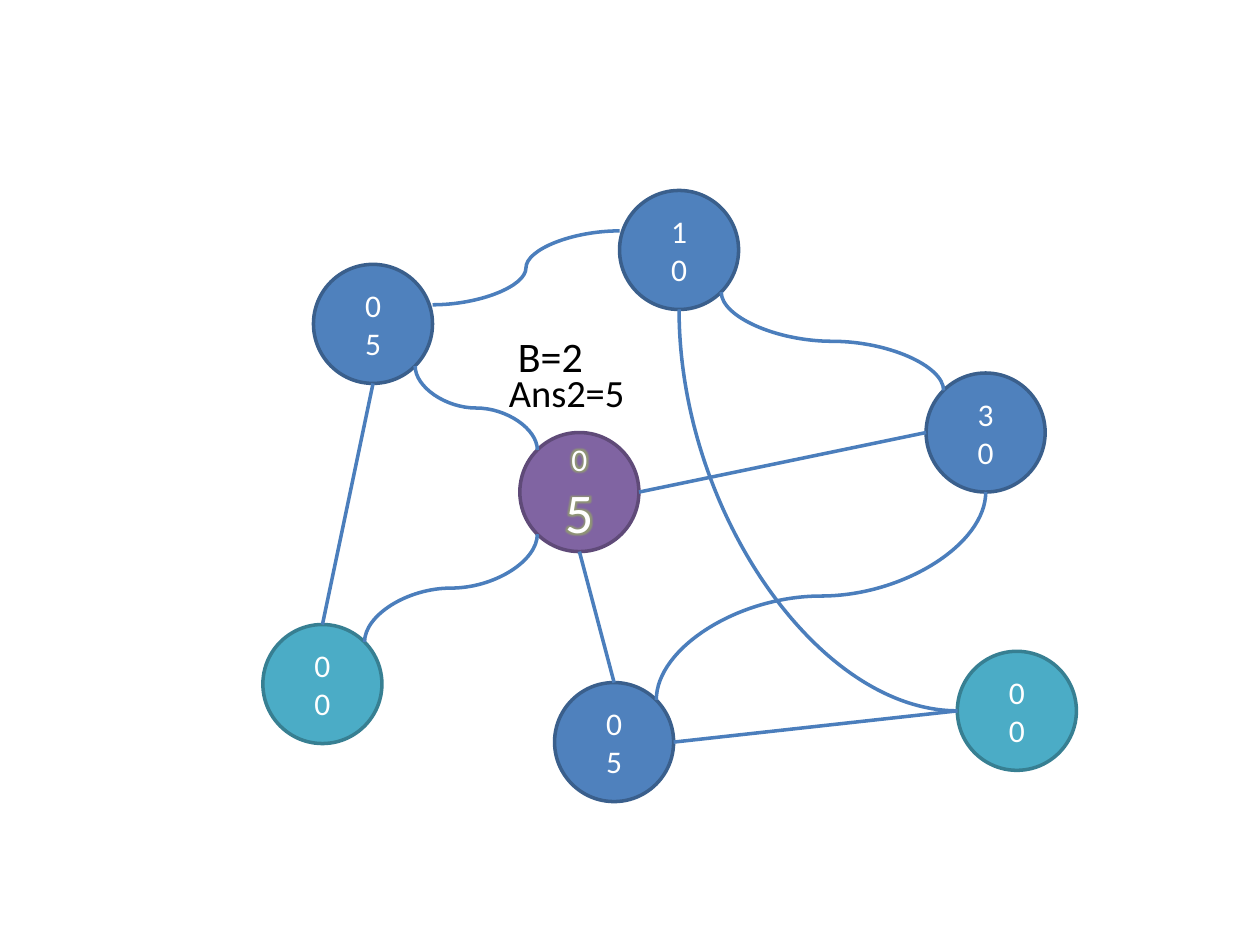
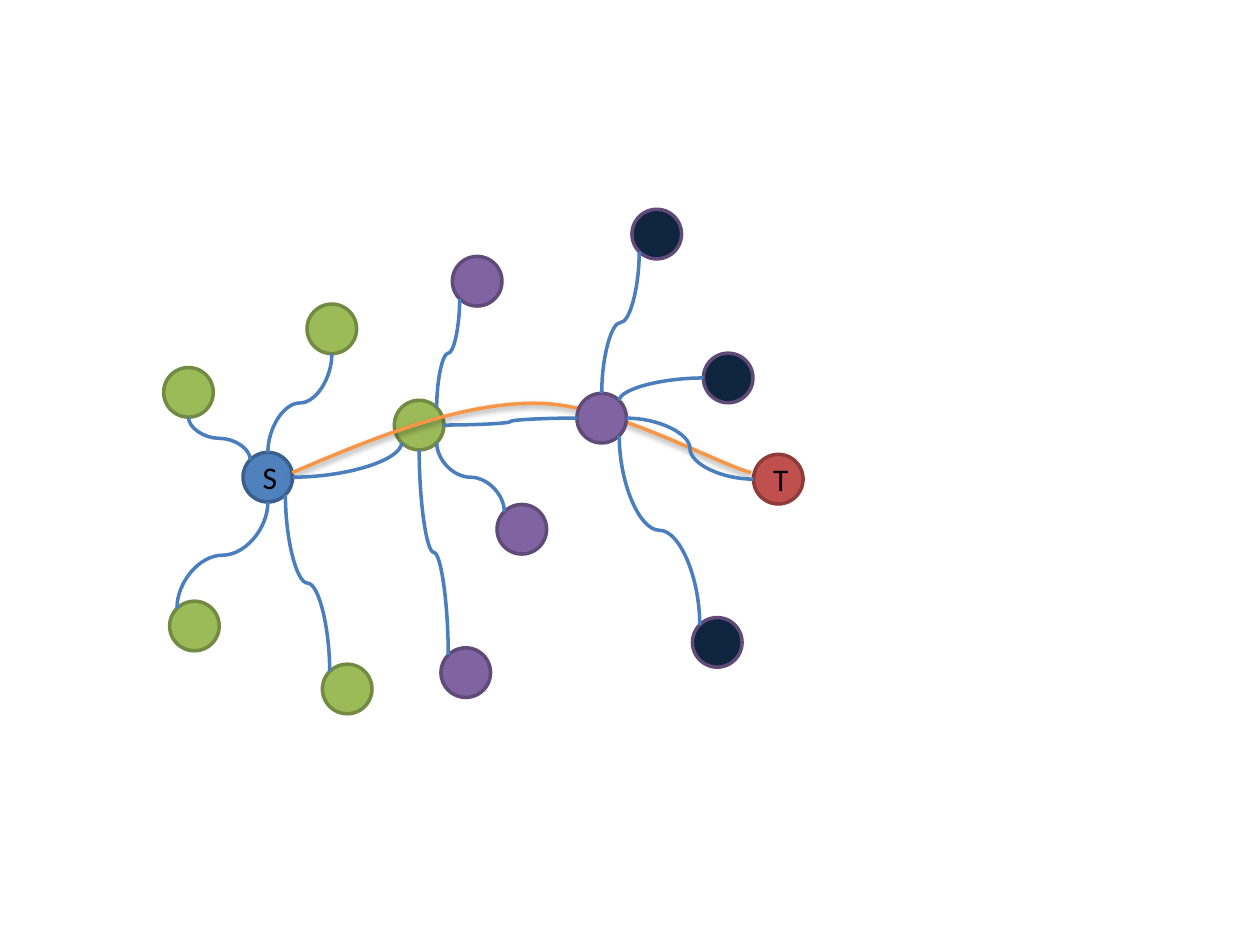
import enum
import math
from dataclasses import dataclass

import pptx
import pptx.dml.color
import pptx.enum.shapes
import pptx.enum.text
import pptx.oxml
import pptx.oxml.ns
import pptx.util
from lxml import etree

Cm, Pt = pptx.util.Cm, pptx.util.Pt
qn = pptx.oxml.ns.qn


class Theme:
    font = "Calibri"
    white, black = "FFFFFF", "000000"
    edge, route, glow = "4B7EBC", "F79646", "9BBB59"
    # (fill, outline) of each kind of node
    blue = ("4F81BD", "3A5F8C")
    teal = ("4BACC6", "377F92")
    purple = ("8064A2", "5F4A78")
    green = ("9BBB59", "738A42")
    red = ("C0504D", "8E3B39")
    navy = ("0F243E", "5F4A78")
    body, label, answer, big = 18, 24, 22, 32
    line = 2


class Route(enum.Enum):
    STRAIGHT = "line"
    ACROSS = "curvedConnector3"
    DOWN = "curvedConnector3 turned"
    ACROSS_CORNER = "curvedConnector2"
    DOWN_CORNER = "curvedConnector2 turned"


DIAGONAL = math.sqrt(0.5)
SITES = {
    "N": (0, -1), "S": (0, 1), "W": (-1, 0), "E": (1, 0),
    "NW": (-DIAGONAL, -DIAGONAL), "NE": (DIAGONAL, -DIAGONAL),
    "SW": (-DIAGONAL, DIAGONAL), "SE": (DIAGONAL, DIAGONAL),
    "upper W": (-1, -0.32), "upper E": (1, -0.32),
}


@dataclass
class Box:
    left: float
    top: float

    def at(self, x, y):
        return self.left + x, self.top + y


@dataclass
class Node:
    x: float
    y: float
    diameter: float

    def site(self, name):
        dx, dy = SITES[name]
        return self.x + dx * self.diameter / 2, self.y + dy * self.diameter / 2


def rgb(value):
    return pptx.dml.color.RGBColor.from_string(value)


def add_effects(parent, xml=""):
    """Append an effect list; an empty one removes inherited effects."""
    ns = pptx.oxml.ns.nsdecls("a")
    parent.append(pptx.oxml.parse_xml(f"<a:effectLst {ns}>{xml}</a:effectLst>"))


def add_run(p, text, size, color):
    r = p.add_run()
    r.text = text
    r.font.name = Theme.font
    r.font.size = Pt(size)
    r.font.color.rgb = rgb(color)
    return r


def add_glow(r):
    """Put a soft halo behind a run, where the schema wants it: after the fill."""
    rpr = r.font._element
    add_effects(rpr, f'<a:glow rad="63500"><a:srgbClr val="{Theme.glow}">'
                     '<a:satMod val="175000"/><a:alpha val="40000"/>'
                     '</a:srgbClr></a:glow>')
    rpr.find(qn("a:solidFill")).addnext(rpr.find(qn("a:effectLst")))


def set_line(sp, color):
    sp.line.color.rgb = rgb(color)
    sp.line.width = Pt(Theme.line)


def add_node(slide, box, x, y, diameter, colors, lines=(), color=Theme.white, glow=False):
    """Draw a circle centred on x, y; lines holds (text, size) pairs."""
    cx, cy = box.at(x, y)
    sp = slide.shapes.add_shape(
        pptx.enum.shapes.MSO_SHAPE.OVAL, Cm(cx - diameter / 2), Cm(cy - diameter / 2),
        Cm(diameter), Cm(diameter))
    sp.shadow.inherit = False
    sp.fill.solid()
    sp.fill.fore_color.rgb = rgb(colors[0])
    set_line(sp, colors[1])
    tf = sp.text_frame
    tf.vertical_anchor = pptx.enum.text.MSO_ANCHOR.MIDDLE
    for i, (text, size) in enumerate(lines):
        p = tf.add_paragraph() if i else tf.paragraphs[0]
        p.alignment = pptx.enum.text.PP_ALIGN.CENTER
        r = add_run(p, text, size, color)
        if glow:
            add_glow(r)
    return Node(cx, cy, diameter)


def turned_ends(x1, y1, x2, y2):
    """Return the turn and unturned ends of a curve that leaves vertically."""
    dx, dy = x2 - x1, y2 - y1
    turn = 270 if dx * dy > 0 else 90
    flip_v = dy < 0
    flip_h = flip_v != (turn == 270)
    half_w = abs(dy) / 2 * (-1 if flip_h else 1)
    half_h = abs(dx) / 2 * (-1 if flip_v else 1)
    cx, cy = (x1 + x2) / 2, (y1 + y2) / 2
    return turn, (cx - half_w, cy - half_h, cx + half_w, cy + half_h)


def add_edge(slide, start, end, route):
    ends, turn = (*start, *end), 0
    if route in (Route.DOWN, Route.DOWN_CORNER):
        turn, ends = turned_ends(*ends)
    kinds = pptx.enum.shapes.MSO_CONNECTOR
    kind = kinds.STRAIGHT if route is Route.STRAIGHT else kinds.CURVE
    c = slide.shapes.add_connector(kind, *(Cm(v) for v in ends))
    set_line(c, Theme.edge)
    sp_pr = c._element.spPr
    add_effects(sp_pr)
    if turn:
        sp_pr.find(qn("a:xfrm")).set("rot", str(turn * 60000))
    if route in (Route.ACROSS_CORNER, Route.DOWN_CORNER):
        sp_pr.find(qn("a:prstGeom")).set("prst", "curvedConnector2")


def add_edges(slide, nodes, edges):
    for start, start_site, end, end_site, route in edges:
        add_edge(slide, nodes[start].site(start_site), nodes[end].site(end_site), route)


def add_label(slide, box, x, y, width, height, text, size):
    left, top = box.at(x, y)
    tf = slide.shapes.add_textbox(Cm(left), Cm(top), Cm(width), Cm(height)).text_frame
    tf.word_wrap = False
    tf.auto_size = pptx.enum.text.MSO_AUTO_SIZE.SHAPE_TO_FIT_TEXT
    add_run(tf.paragraphs[0], text, size, Theme.black)


def add_route(slide, box, points):
    """Draw a shadowed curve: a start, then three Bézier points per piece."""
    start, *rest = [tuple(Cm(v) for v in box.at(*pt)) for pt in points]
    builder = slide.shapes.build_freeform(*start)
    builder.add_line_segments(rest, close=False)
    sp = builder.convert_to_shape()
    sp.fill.background()
    set_line(sp, Theme.route)
    add_effects(sp._element.spPr,
                '<a:outerShdw blurRad="40000" dist="20000" dir="5400000" rotWithShape="0">'
                f'<a:srgbClr val="{Theme.black}"><a:alpha val="38000"/></a:srgbClr>'
                '</a:outerShdw>')
    segments = list(sp._element.iter(qn("a:lnTo")))
    outline = segments[0].getparent()
    for i in range(0, len(segments), 3):
        curve = etree.SubElement(outline, qn("a:cubicBezTo"))
        for segment in segments[i:i + 3]:
            curve.append(segment[0])
            outline.remove(segment)


def add_score_graph(slide, box):
    diameter = 2.4
    specs = {
        "first": (2.52, 3.53, Theme.blue, "05"),
        "top": (8.69, 2.04, Theme.blue, "10"),
        "left leaf": (1.5, 10.79, Theme.teal, "00"),
        "current": (6.68, 6.92, Theme.purple, "05"),
        "bottom": (7.38, 11.96, Theme.blue, "05"),
        "right": (14.87, 5.72, Theme.blue, "30"),
        "right leaf": (15.5, 11.33, Theme.teal, "00"),
    }
    nodes = {}
    for name, (x, y, colors, digits) in specs.items():
        current = name == "current"
        sizes = (Theme.body, Theme.big if current else Theme.body)
        nodes[name] = add_node(slide, box, x, y, diameter, colors,
                               zip(digits, sizes), glow=current)
    add_edges(slide, nodes, [
        ("first", "upper E", "top", "upper W", Route.ACROSS),
        ("first", "S", "left leaf", "N", Route.STRAIGHT),
        ("left leaf", "NE", "current", "SW", Route.DOWN),
        ("first", "SE", "current", "NW", Route.DOWN),
        ("current", "S", "bottom", "N", Route.STRAIGHT),
        ("top", "S", "right leaf", "W", Route.DOWN_CORNER),
        ("bottom", "E", "right leaf", "W", Route.STRAIGHT),
        ("bottom", "NE", "right", "S", Route.DOWN),
        ("right", "W", "current", "E", Route.STRAIGHT),
        ("top", "SE", "right", "NW", Route.DOWN),
    ])
    add_label(slide, box, 5.19, 3.53, 1.83, 1.27, "B=2", Theme.label)
    add_label(slide, box, 5.01, 4.32, 2.87, 1.19, "Ans2=5", Theme.answer)


def add_search_graph(slide, box):
    diameter = 1
    nodes = {}
    for name, x, y, colors in (("S", 2.4, 5.62, Theme.blue), ("T", 12.69, 5.66, Theme.red)):
        nodes[name] = add_node(slide, box, x, y, diameter, colors,
                               [(name, Theme.body)], Theme.black)

    def add_level(colors, places):
        for name, place in places.items():
            nodes[name] = add_node(slide, box, *place, diameter, colors)

    add_level(Theme.green, {
        "green top": (3.69, 2.63), "green hub": (5.45, 4.57), "green low": (4, 9.89),
        "green low left": (0.92, 8.62), "green left": (0.8, 3.91)})
    add_route(slide, box, [(2.89, 5.53), (4.57, 4.81), (6.25, 4.13), (7.79, 4.13),
                           (9.32, 4.13), (11.33, 5.3), (12.14, 5.53)])
    add_level(Theme.purple, {
        "purple top": (6.62, 1.67), "purple hub": (9.13, 4.43),
        "purple mid": (7.52, 6.67), "purple low": (6.39, 9.56)})
    add_level(Theme.navy, {
        "navy low": (11.46, 8.95), "navy top": (10.24, 0.72), "navy mid": (11.68, 3.62)})
    add_edges(slide, nodes, [
        ("green top", "S", "S", "N", Route.DOWN),
        ("green low", "NW", "S", "SE", Route.DOWN),
        ("S", "S", "green low left", "NW", Route.DOWN),
        ("green left", "S", "S", "NW", Route.DOWN),
        ("green hub", "SW", "S", "E", Route.DOWN_CORNER),
        ("purple top", "SW", "green hub", "NE", Route.DOWN),
        ("green hub", "E", "purple hub", "W", Route.ACROSS),
        ("purple mid", "NW", "green hub", "SE", Route.DOWN),
        ("purple low", "NW", "green hub", "S", Route.DOWN),
        ("navy mid", "W", "purple hub", "NE", Route.ACROSS_CORNER),
        ("purple hub", "E", "T", "W", Route.ACROSS),
        ("navy low", "NW", "purple hub", "SE", Route.DOWN),
        ("navy top", "SW", "purple hub", "N", Route.DOWN),
    ])


def main():
    prs = pptx.Presentation()
    prs.slide_width, prs.slide_height = Cm(25.4), Cm(19.05)
    blank = prs.slide_layouts[6]
    add_score_graph(prs.slides.add_slide(blank), Box(5, 3))
    add_search_graph(prs.slides.add_slide(blank), Box(3, 4))
    prs.save("out.pptx")


if __name__ == "__main__":
    main()
